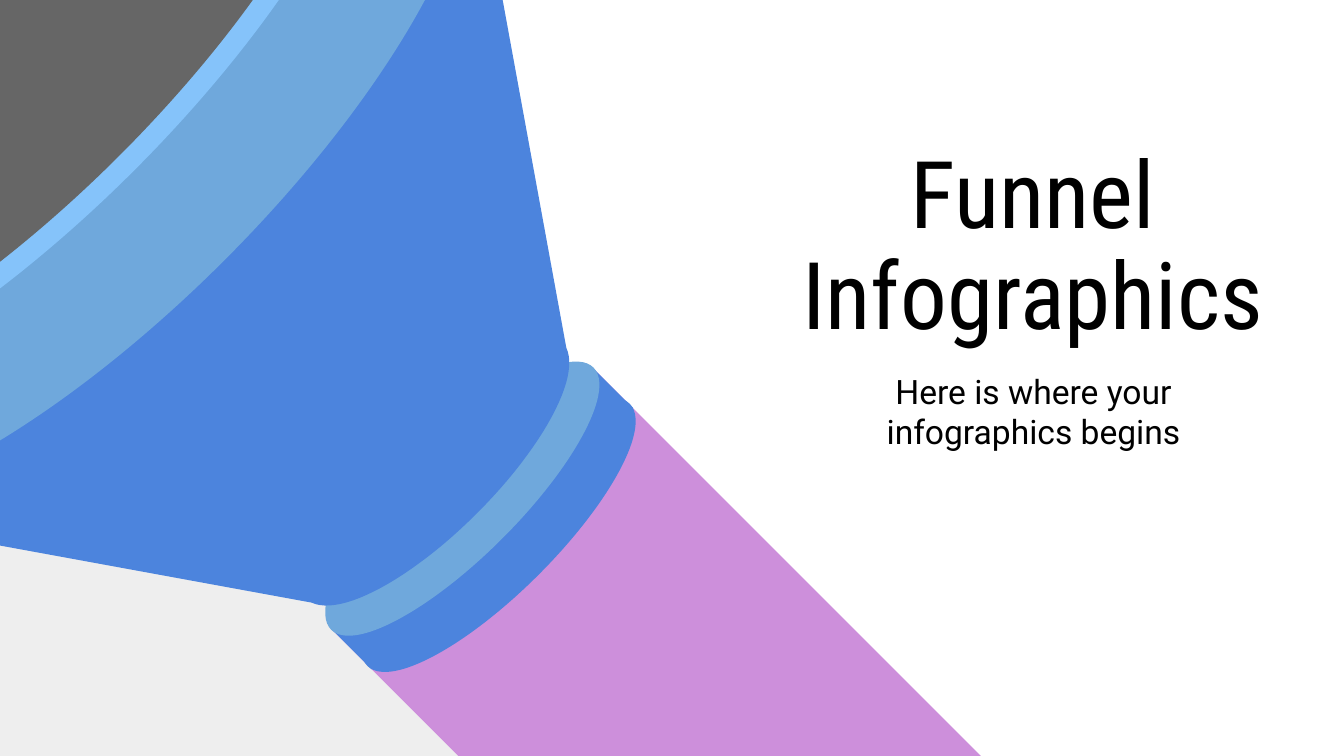
from pptx import Presentation
from pptx.dml.color import RGBColor
from pptx.enum.shapes import MSO_SHAPE
from pptx.enum.text import MSO_ANCHOR, PP_ALIGN
from pptx.util import Inches, Pt

OVAL, RECT = MSO_SHAPE.OVAL, MSO_SHAPE.RECTANGLE
WEDGE = MSO_SHAPE.RIGHT_TRIANGLE
TOP, BOTTOM = MSO_ANCHOR.TOP, MSO_ANCHOR.BOTTOM
CENTER = PP_ALIGN.CENTER

BLACK = RGBColor(0x00, 0x00, 0x00)
PALE = RGBColor(0xEE, 0xEE, 0xEE)
GRAY = RGBColor(0x66, 0x66, 0x66)
PINK = RGBColor(0xCD, 0x8F, 0xDB)
BLUE = RGBColor(0x4C, 0x84, 0xDD)
STEEL = RGBColor(0x6F, 0xA8, 0xDC)
SKY = RGBColor(0x85, 0xC3, 0xFA)

TILT = 315
STEPS = 24


def paint(shape, color, turn):
    shape.shadow.inherit = False
    shape.fill.solid()
    shape.fill.fore_color.rgb = color
    shape.line.fill.background()
    shape.rotation = turn


def add_part(slide, kind, box, color, turn):
    shape = slide.shapes.add_shape(kind, *(Inches(v) for v in box))
    paint(shape, color, turn)


def bezier(a, b, c, d):
    """Return points along a cubic curve, without its start."""
    points = []
    for i in range(1, STEPS + 1):
        t = i / STEPS
        s = 1 - t
        points.append(tuple(
            s**3 * p + 3 * s * s * t * q + 3 * s * t * t * r + t**3 * w
            for p, q, r, w in zip(a, b, c, d)))
    return points


def add_cone(slide, x, y, color):
    """Draw the upright cone, mirrored about (x, y), then tilt it."""
    rim, neck, tip = (-3.66, -1.88), (-1.34, 1.48), (0, 1.88)
    half = [rim, neck] + bezier(neck, (-1.26, 1.71), (-0.69, 1.88), tip)
    other = [(-u, v) for u, v in reversed(half[:-1])]
    points = [(Inches(x + u), Inches(y + v))
              for u, v in half + other + [(0, -1.46)]]
    pen = slide.shapes.build_freeform(*points[0])
    pen.add_line_segments(points[1:], close=True)
    paint(pen.convert_to_shape(), color, TILT)


def add_funnel(slide, left, top):
    """Centre every part on the diagonal that starts at (left, top)."""

    def place(kind, shift, width, height, color):
        box = (left + shift - width / 2, top + shift - height / 2,
               width, height)
        add_part(slide, kind, box, color, TILT)

    place(RECT, 5.42, 2.75, 5.58, PINK)
    place(OVAL, 3.71, 2.76, 0.84, BLUE)
    place(RECT, 3.59, 2.75, 0.42, BLUE)
    place(OVAL, 3.44, 2.76, 0.84, STEEL)
    add_cone(slide, left + 2.22, top + 2.22, BLUE)
    place(OVAL, 0.77, 7.37, 2.54, STEEL)
    place(RECT, 0.46, 7.37, 1.03, STEEL)
    place(OVAL, 0.1, 7.37, 2.54, SKY)
    place(OVAL, 0.1, 6.82, 2.23, GRAY)


def add_text(slide, box, text, font, size, anchor, spacing):
    frame = slide.shapes.add_textbox(*(Inches(v) for v in box)).text_frame
    frame.word_wrap = True
    frame.vertical_anchor = anchor
    frame.margin_left = frame.margin_right = Inches(0.1)
    frame.margin_top = frame.margin_bottom = Inches(0.1)
    para = frame.paragraphs[0]
    para.text = text
    para.alignment = CENTER
    para.line_spacing = spacing
    para.font.name = font
    para.font.size = Pt(size)
    para.font.color.rgb = BLACK


def add_heading(slide, left, top):
    add_text(slide, (left, top, 3.97, 1.68), "Funnel Infographics",
             "Roboto Condensed", 50, BOTTOM, 0.9)
    add_text(slide, (left + 0.5, top + 1.64, 2.98, 0.76),
             "Here is where your infographics begins",
             "Roboto", 18, TOP, 1.0)


def main():
    deck = Presentation()
    deck.slide_width = Inches(10)
    deck.slide_height = deck.slide_width * 9 // 16
    slide = deck.slides.add_slide(deck.slide_layouts[6])
    add_part(slide, WEDGE, (-1.81, -2.11, 8.67, 8.67), PALE, 14.8)
    add_heading(slide, 5.7, 1.02)
    add_funnel(slide, 0, 0.27)
    deck.save("out.pptx")


if __name__ == "__main__":
    main()
